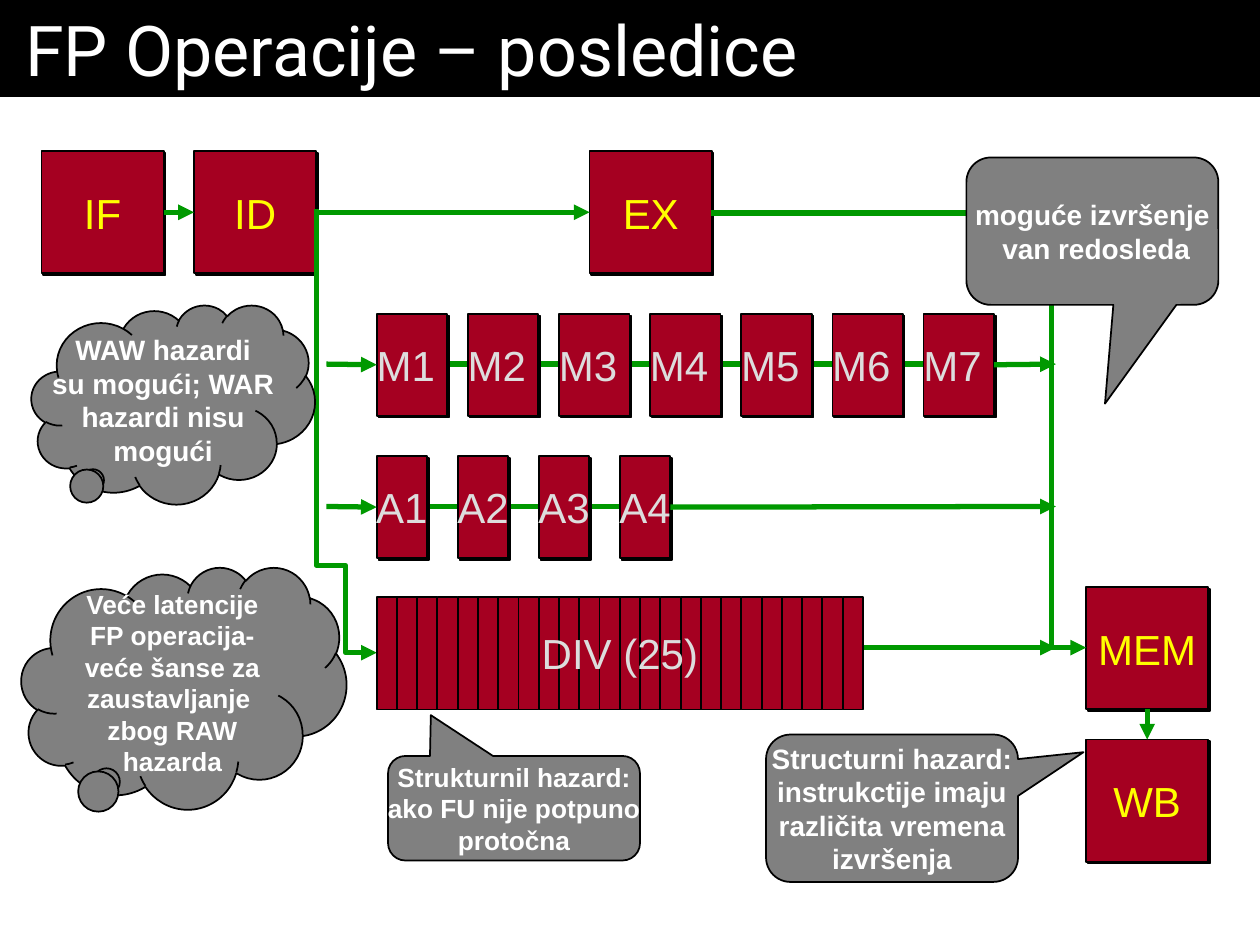
from lxml.etree import SubElement
from pptx import Presentation
from pptx.dml.color import RGBColor
from pptx.enum.shapes import MSO_CONNECTOR as Link, MSO_SHAPE as Kind
from pptx.enum.text import MSO_ANCHOR as Anchor, MSO_AUTO_SIZE as AutoSize, PP_ALIGN as Align
from pptx.oxml.ns import qn
from pptx.util import Inches, Pt

COLORS = {
    "black": "000000",
    "white": "FFFFFF",
    "red": "A50021",
    "green": "009900",
    "gray": "808080",
    "yellow": "FFFF00",
    "silver": "DDDDDD",
}

deck = Presentation()
deck.slide_width = Inches(10)
deck.slide_height = Inches(7.5)
page = deck.slides.add_slide(deck.slide_layouts[6])


def add_box(kind, place, fill, lines=(), size=24, color="white", bold=False,
            align=Align.CENTER, font="Arial", shadow=False):
    box = page.shapes.add_shape(kind, *[Inches(value) for value in place])
    box.fill.solid()
    box.fill.fore_color.rgb = RGBColor.from_string(COLORS[fill])
    box.line.color.rgb = RGBColor.from_string(COLORS["black"])
    box.line.width = Pt(1)
    box.shadow.inherit = False
    if shadow:
        effects = box.element.spPr.find(qn("a:effectLst"))
        outer = SubElement(effects, qn("a:outerShdw"), dist="17780", dir="2700000", algn="ctr", rotWithShape="0")
        SubElement(outer, qn("a:srgbClr"), val=COLORS["black"])
    frame = box.text_frame
    frame.word_wrap = False
    frame.vertical_anchor = Anchor.MIDDLE
    for index, line in enumerate(lines):
        para = frame.add_paragraph() if index else frame.paragraphs[0]
        para.alignment = align
        span = para.add_run()
        span.text = line
        span.font.name = font
        span.font.size = Pt(size)
        span.font.bold = bold
        span.font.color.rgb = RGBColor.from_string(COLORS[color])
    return box


def add_line(start, end, source=None, target=None, arrow=True, kind=Link.STRAIGHT):
    line = page.shapes.add_connector(kind, *[Inches(value) for value in start + end])
    if source:
        line.begin_connect(*source)
    if target:
        line.end_connect(*target)
    line.line.color.rgb = RGBColor.from_string(COLORS["green"])
    line.line.width = Pt(3)
    if arrow:
        SubElement(line.line._get_or_add_ln(), qn("a:tailEnd"), type="triangle")
    SubElement(line.element.spPr, qn("a:effectLst"))
    return line


title = add_box(Kind.RECTANGLE, (0, 0, 10, 0.77), "black", ["FP Operacije – posledice"],
                size=40, align=Align.LEFT, font="Roboto")
title.line.fill.background()
title.text_frame.word_wrap = True
title.text_frame.auto_size = AutoSize.SHAPE_TO_FIT_TEXT
title.text_frame.vertical_anchor = Anchor.TOP
title.text_frame.margin_left = title.text_frame.margin_right = Inches(0.2)

add_line((3.23, 4.02), (5.08, 4.02), arrow=False)
add_line((3.23, 2.89), (7.57, 2.89), arrow=False)

stages = {}
for name, left, top in [("IF", 0.33, 1.2), ("ID", 1.54, 1.2), ("MEM", 8.62, 4.66),
                        ("WB", 8.62, 5.87), ("EX", 4.68, 1.2)]:
    stages[name] = add_box(Kind.RECTANGLE, (left, top, 0.97, 0.97), "red", [name],
                           color="yellow", shadow=True)

for letter, count, top, width, step, align in [("A", 4, 3.62, 0.4, 1.93 / 3, Align.CENTER),
                                               ("M", 7, 2.49, 0.56, 4.34 / 6, Align.RIGHT)]:
    for index in range(count):
        name = f"{letter}{index + 1}"
        stages[name] = add_box(Kind.RECTANGLE, (2.99 + index * step, top, width, 0.81), "red",
                               [name], color="silver", align=align, shadow=True)

for source, side, target, end_side, start, end in [
    ("IF", 3, "ID", 1, (1.3, 1.69), (1.54, 1.69)),
    ("ID", 3, "EX", 1, (2.51, 1.69), (4.68, 1.69)),
    ("MEM", 2, "WB", 0, (9.1, 5.63), (9.1, 5.87)),
    (None, 0, "M1", 1, (2.59, 2.89), (2.99, 2.89)),
    (None, 0, "A1", 1, (2.59, 4.02), (2.99, 4.02)),
    ("A4", 3, None, 0, (5.32, 4.02), (8.38, 4.02)),
    ("M7", 3, None, 0, (7.89, 2.89), (8.38, 2.89)),
    (None, 0, None, 0, (6.85, 5.14), (8.38, 5.14)),
]:
    add_line(start, end, source and (stages[source], side), target and (stages[target], end_side))

memory_path = add_line((5.64, 1.69), (8.62, 5.14), kind=Link.ELBOW)
divide_path = add_line((0.99, 3.18), (4.51, 3.66), kind=Link.ELBOW)
divide_path.element.spPr.find(qn("a:prstGeom")).set("prst", "bentConnector4")
turn = divide_path.element.spPr.find(qn("a:xfrm"))
turn.set("rot", "16200000")
turn.set("flipH", "1")
for path, bends in [(memory_path, {"adj1": 90800}), (divide_path, {"adj1": 80300, "adj2": 48200})]:
    guides = path.element.spPr.find(qn("a:prstGeom")).find(qn("a:avLst"))
    for guide, value in bends.items():
        SubElement(guides, qn("a:gd"), name=guide, fmla=f"val {value}")

for index in range(24):
    add_box(Kind.RECTANGLE, (2.99 + index * 3.86 / 24, 4.74, 0.16, 0.89), "red")

divider = page.shapes.add_textbox(Inches(4.2), Inches(4.93), Inches(1.44), Inches(0.5))
divider.text_frame.word_wrap = False
divider.text_frame.vertical_anchor = Anchor.MIDDLE
para = divider.text_frame.paragraphs[0]
para.alignment = Align.CENTER
span = para.add_run()
span.text = "DIV (25)"
span.font.name = "Arial"
span.font.size = Pt(24)
span.font.color.rgb = RGBColor.from_string(COLORS["silver"])

WEDGE = Kind.ROUNDED_RECTANGULAR_CALLOUT
CLOUD = Kind.CLOUD_CALLOUT
for kind, place, tip, size, lines in [
    (WEDGE, (3.08, 6, 2, 0.83), (-0.33, -0.89), 15,
     ["Strukturnil hazard:", "ako FU nije potpuno", "protočna"]),
    (WEDGE, (6.08, 5.83, 2, 1.17), (0.76, -0.38), 16,
     ["Structurni hazard:", "instrukctije imaju", "različita vremena", "izvršenja"]),
    (CLOUD, (0.25, 2.42, 2.25, 1.58), (-0.29, 0.39), 16,
     ["WAW hazardi", "su mogući; WAR", "hazardi nisu", "mogući"]),
    (CLOUD, (0.17, 4.5, 2.58, 1.92), (-0.24, 0.39), 15,
     ["Veće latencije", "FP operacija-", "veće šanse za", "zaustavljanje ", "zbog RAW", "hazarda"]),
    (WEDGE, (7.67, 1.25, 2, 1.17), (0.05, 1.17), 16,
     ["moguće izvršenje", " van redosleda"]),
]:
    callout = add_box(kind, place, "gray", lines, size=size, bold=True)
    callout.adjustments[0], callout.adjustments[1] = tip

deck.save("out.pptx")
